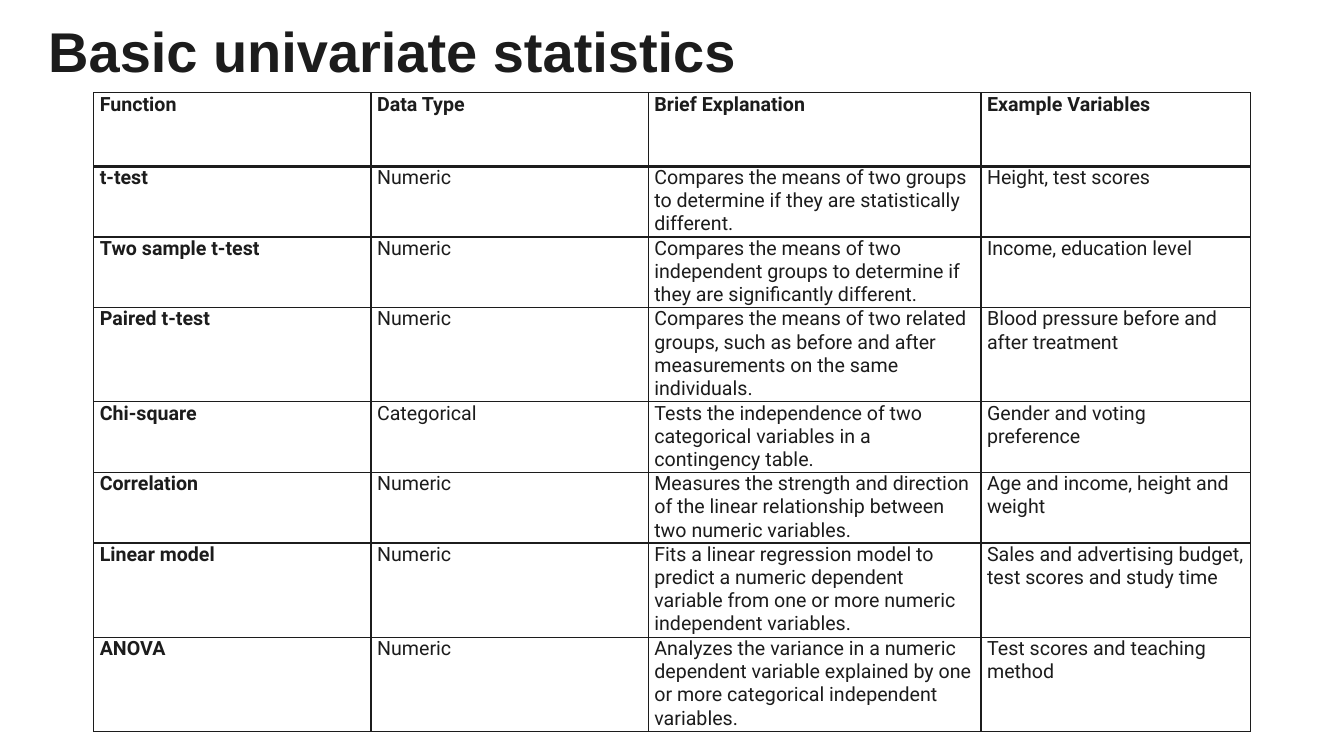
from lxml import etree
from pptx import Presentation
from pptx.dml.color import RGBColor
from pptx.enum.text import MSO_ANCHOR
from pptx.oxml.ns import qn
from pptx.util import Inches, Pt

# Content
TITLE = "Basic univariate statistics"
HEADER = ("Function", "Data Type", "Brief Explanation", "Example Variables")
TESTS = [
    ("t-test", "Numeric",
     "Compares the means of two groups to determine if they are statistically different.",
     "Height, test scores"),
    ("Two sample t-test", "Numeric",
     "Compares the means of two independent groups to determine if they are significantly different.",
     "Income, education level"),
    ("Paired t-test", "Numeric",
     "Compares the means of two related groups, such as before and after measurements on the same individuals.",
     "Blood pressure before and after treatment"),
    ("Chi-square", "Categorical",
     "Tests the independence of two categorical variables in a contingency table.",
     "Gender and voting preference"),
    ("Correlation", "Numeric",
     "Measures the strength and direction of the linear relationship between two numeric variables.",
     "Age and income, height and weight"),
    ("Linear model", "Numeric",
     "Fits a linear regression model to predict a numeric dependent variable from one or more numeric independent variables.",
     "Sales and advertising budget, test scores and study time"),
    ("ANOVA", "Numeric",
     "Analyzes the variance in a numeric dependent variable explained by one or more categorical independent variables.",
     "Test scores and teaching method"),
]

# Grid and style
COLUMN_WIDTHS = (2.75, 2.75, 3.3, 2.67)
HEADER_HEIGHT = 0.73
LINE_HEIGHT = 0.23
EXPLANATION_LINES = (3, 3, 4, 3, 3, 4, 4)
INK = RGBColor(0x1C, 0x1C, 0x1C)
MIDDLE = MSO_ANCHOR.MIDDLE


def style(para, font_name, size, bold):
    for span in para.runs:
        span.font.name = font_name
        span.font.size = Pt(size)
        span.font.bold = bold
        span.font.color.rgb = INK


def add_borders(cell, bottom_width):
    """Draw the four cell edges; they precede the fill in the cell properties."""
    properties = cell._tc.get_or_add_tcPr()
    widths = {"a:lnL": 1, "a:lnR": 1, "a:lnT": 1, "a:lnB": bottom_width}
    for position, (edge, width) in enumerate(widths.items()):
        line = etree.Element(qn(edge), w=str(Pt(width)))
        fill = etree.SubElement(line, qn("a:solidFill"))
        etree.SubElement(fill, qn("a:srgbClr"), val=str(INK))
        properties.insert(position, line)


deck = Presentation()
deck.slide_width, deck.slide_height = Inches(13.33), Inches(7.5)
page = deck.slides.add_slide(deck.slide_layouts[6])

# Title
box = page.shapes.add_textbox(Inches(0.38), Inches(0.17), Inches(7.89), Inches(0.74))
frame = box.text_frame
frame.word_wrap = True
frame.vertical_anchor = MIDDLE
frame.text = TITLE
frame.paragraphs[0].line_spacing = 0.9
style(frame.paragraphs[0], "Arial", 40, True)

# Table
rows = [HEADER] + TESTS
heights = [HEADER_HEIGHT] + [lines * LINE_HEIGHT for lines in EXPLANATION_LINES]
table = page.shapes.add_table(
    len(rows), len(HEADER), Inches(0.93), Inches(0.92),
    Inches(sum(COLUMN_WIDTHS)), Inches(sum(heights))).table
table.horz_banding = False
for column, width in zip(table.columns, COLUMN_WIDTHS):
    column.width = Inches(width)

for row_index, texts in enumerate(rows):
    table.rows[row_index].height = Inches(heights[row_index])
    is_header = row_index == 0
    for column_index, text in enumerate(texts):
        cell = table.cell(row_index, column_index)
        cell.margin_left = cell.margin_right = Inches(0.06)
        cell.margin_top = cell.margin_bottom = 0
        cell.fill.background()
        add_borders(cell, 2 if is_header else 1)
        cell.text_frame.text = text
        style(cell.text_frame.paragraphs[0], "Roboto", 14, is_header or column_index == 0)

deck.save("out.pptx")
